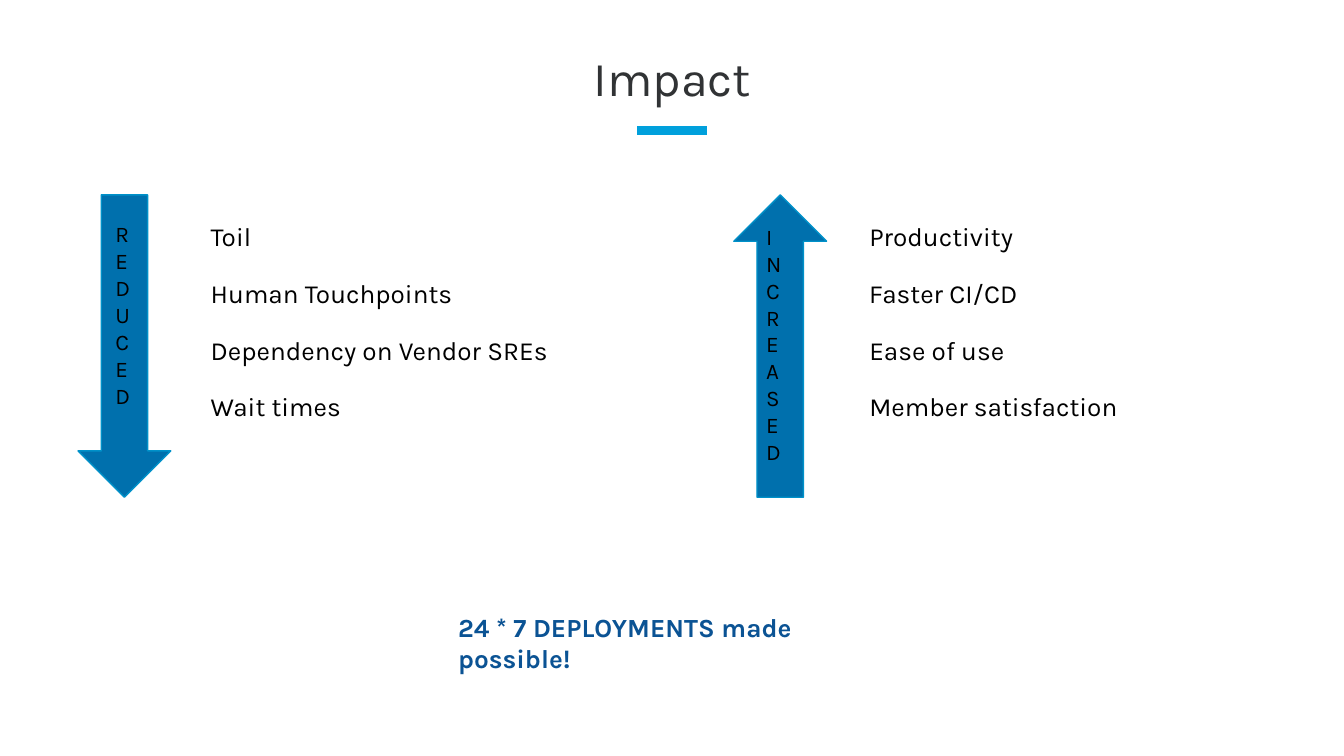
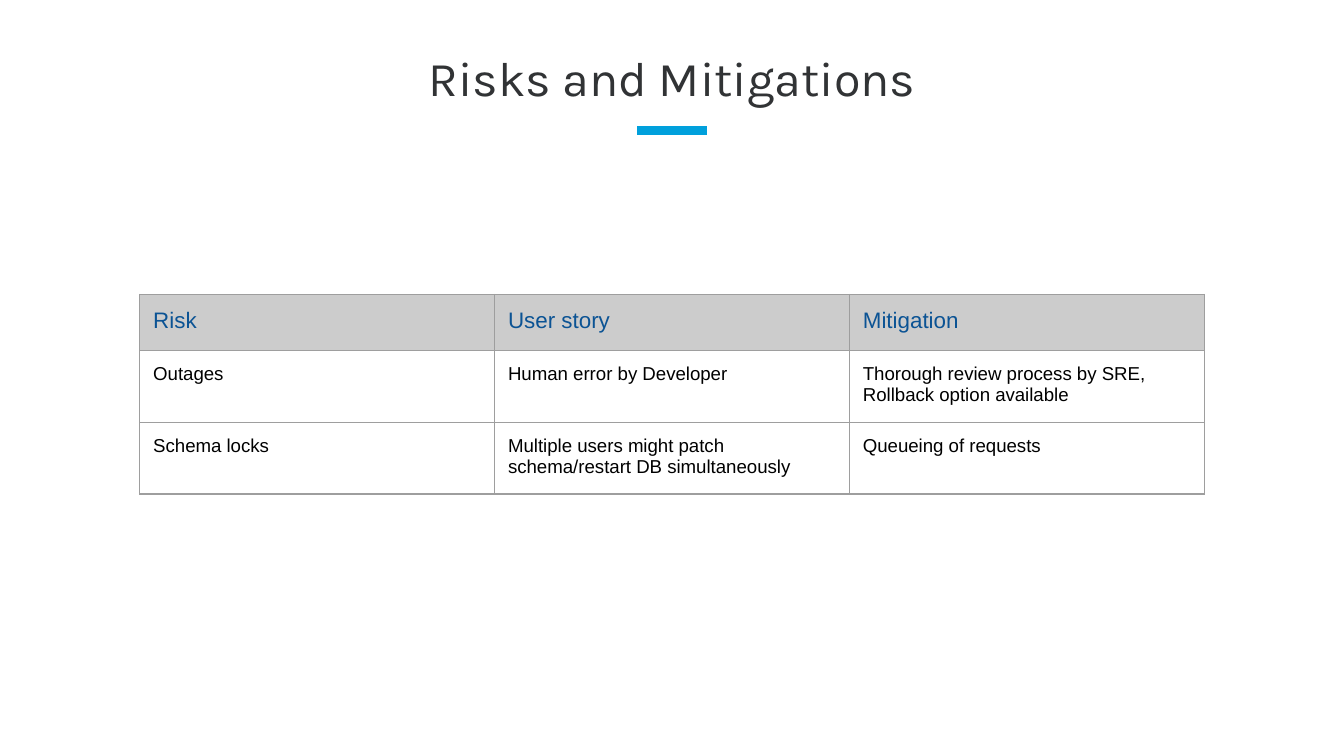
from dataclasses import dataclass

from lxml.etree import SubElement
from pptx import Presentation
from pptx.dml.color import RGBColor
from pptx.enum.shapes import MSO_CONNECTOR as CONNECTOR, MSO_SHAPE as SHAPE
from pptx.enum.text import MSO_ANCHOR as ANCHOR, PP_ALIGN as ALIGN
from pptx.oxml.ns import qn
from pptx.util import Pt


@dataclass(frozen=True)
class Theme:
    ink: str = "313335"
    black: str = "000000"
    accent: str = "00A0DC"
    arrow: str = "0070AD"
    arrow_edge: str = "0091C9"
    strong: str = "0B5394"
    header: str = "CCCCCC"
    border: str = "9E9E9E"
    font: str = "Karla"
    table_font: str = "Arial"
    title: int = 26
    body: int = 14
    label: int = 12
    cell: int = 10


T = Theme()
W, H = 720, 405
INSET = 7.2

# Each item is (text, box width, box height).
IMPACTS = [
    dict(label="REDUCED", shape=SHAPE.DOWN_ARROW, left=41.8,
         label_box=(56.9, 110.9, 12.2, 139), items_left=105.8,
         items=[("Toil", 36.7, 20.2), ("Human Touchpoints", 183.6, 20.2),
                ("Dependency on Vendor SREs", 221, 20.2),
                ("Wait times", 128.2, 20.2)]),
    dict(label="INCREASED", shape=SHAPE.UP_ARROW, left=393.1,
         label_box=(405.4, 112.3, 12.2, 126.7), items_left=458.6,
         items=[("Productivity", 92.9, 20.2), ("Faster CI/CD", 180, 20.2),
                ("Ease of use", 144.7, 23.8),
                ("Member satisfaction", 164.2, 23.8)]),
]
ARROW_TOP, ARROW_W, ARROW_H = 104.4, 49.7, 162
ITEMS_TOP, ITEM_PITCH = 110.9, 30.4
CLOSING = "24 * 7 DEPLOYMENTS made possible!"

RISKS = [
    ("Risk", "User story", "Mitigation"),
    ("Outages", "Human error by Developer",
     "Thorough review process by SRE, Rollback option available"),
    ("Schema locks", "Multiple users might patch schema/restart DB simultaneously",
     "Queueing of requests"),
]
TABLE_LEFT, TABLE_TOP, COL_W = 74.9, 157.7, 190.1
ROW_HEIGHTS = (30, 35.5, 30)


def rgb(value):
    return RGBColor.from_string(value)


def set_margins(target, left, top, right, bottom):
    margins = dict(margin_left=left, margin_top=top,
                   margin_right=right, margin_bottom=bottom)
    for name, value in margins.items():
        setattr(target, name, Pt(value))


def write(tf, lines, size, color, font=T.font, bold=False, align=ALIGN.LEFT):
    """Put one paragraph per line into a text frame."""
    for i, line in enumerate(lines):
        p = tf.paragraphs[0] if i == 0 else tf.add_paragraph()
        p.alignment = align
        r = p.add_run()
        r.text = line
        for name, value in dict(size=Pt(size), name=font, bold=bold).items():
            setattr(r.font, name, value)
        r.font.color.rgb = rgb(color)


def add_text(s, box, lines, size, color, margins=(INSET, INSET, 0, INSET),
             anchor=ANCHOR.TOP, **style):
    tf = s.shapes.add_textbox(*map(Pt, box)).text_frame
    tf.word_wrap = True
    tf.vertical_anchor = anchor
    set_margins(tf, *margins)
    write(tf, lines, size, color, **style)


def add_titled_slide(prs, title):
    s = prs.slides.add_slide(prs.slide_layouts[6])
    rule = s.shapes.add_connector(CONNECTOR.STRAIGHT, Pt(341.3), Pt(69.8),
                                  Pt(378.7), Pt(69.8))
    rule.line.color.rgb = rgb(T.accent)
    rule.line.width = Pt(5)
    SubElement(rule._element.spPr, qn("a:effectLst"))
    add_text(s, (33.8, 23.8, 653, 36), [title], T.title, T.ink,
             margins=(0, 2.9, 0, 2.9), anchor=ANCHOR.BOTTOM, align=ALIGN.CENTER)
    return s


def add_impact(s, impact):
    """Draw an arrow, its stacked letters and the list beside it."""
    sp = s.shapes.add_shape(impact["shape"], Pt(impact["left"]), Pt(ARROW_TOP),
                            Pt(ARROW_W), Pt(ARROW_H))
    sp.shadow.inherit = False
    sp.fill.solid()
    sp.fill.fore_color.rgb = rgb(T.arrow)
    sp.line.color.rgb = rgb(T.arrow_edge)
    sp.line.width = Pt(0.75)
    add_text(s, impact["label_box"], impact["label"], T.label, T.black,
             margins=(5, INSET, 0, INSET))
    for i, (text, width, height) in enumerate(impact["items"]):
        box = (impact["items_left"], ITEMS_TOP + i * ITEM_PITCH, width, height)
        add_text(s, box, [text], T.body, T.black)


def add_borders(cell):
    tc_pr = cell._tc.get_or_add_tcPr()
    for i, side in enumerate(("lnL", "lnR", "lnT", "lnB")):
        ln = tc_pr.makeelement(qn(f"a:{side}"), {"w": str(Pt(0.75))})
        fill = SubElement(ln, qn("a:solidFill"))
        SubElement(fill, qn("a:srgbClr"), val=T.border)
        tc_pr.insert(i, ln)


def add_risk_table(s):
    n_cols = len(RISKS[0])
    frame = s.shapes.add_table(len(RISKS), n_cols, Pt(TABLE_LEFT), Pt(TABLE_TOP),
                               Pt(COL_W * n_cols), Pt(sum(ROW_HEIGHTS)))
    table = frame.table
    table.horz_banding = False
    for col in table.columns:
        col.width = Pt(COL_W)
    for i, (row, height) in enumerate(zip(RISKS, ROW_HEIGHTS)):
        table.rows[i].height = Pt(height)
        size, color = (T.cell, T.black) if i else (T.label, T.strong)
        for j, text in enumerate(row):
            cell = table.cell(i, j)
            set_margins(cell, INSET, INSET, INSET, INSET)
            write(cell.text_frame, [text], size, color, font=T.table_font)
            if i:
                cell.fill.background()
            else:
                cell.fill.solid()
                cell.fill.fore_color.rgb = rgb(T.header)
            add_borders(cell)


def main():
    prs = Presentation()
    prs.slide_width, prs.slide_height = Pt(W), Pt(H)

    s = add_titled_slide(prs, "Impact")
    for impact in IMPACTS:
        add_impact(s, impact)
    add_text(s, (238.3, 320.4, 245.5, 36), [CLOSING], T.body, T.strong,
             margins=(INSET,) * 4, bold=True)

    add_risk_table(add_titled_slide(prs, "Risks and Mitigations"))
    prs.save("out.pptx")


if __name__ == "__main__":
    main()
